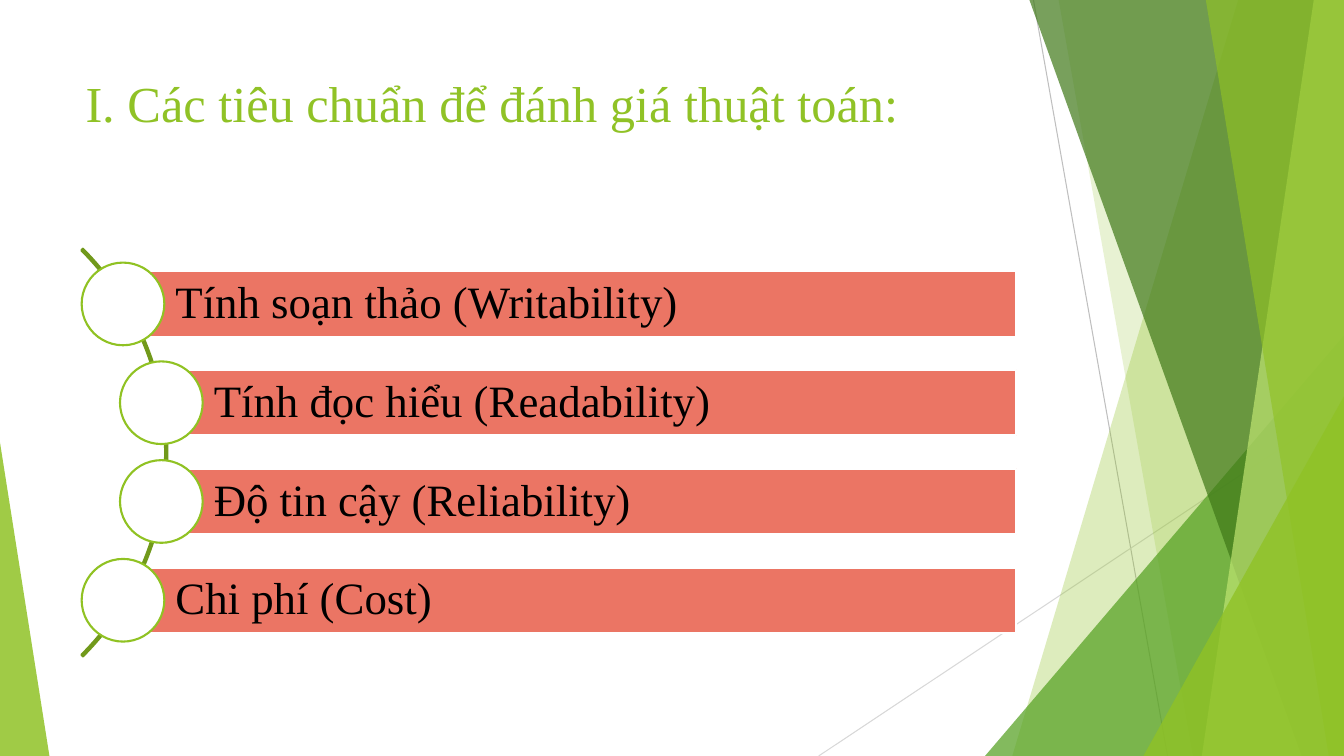
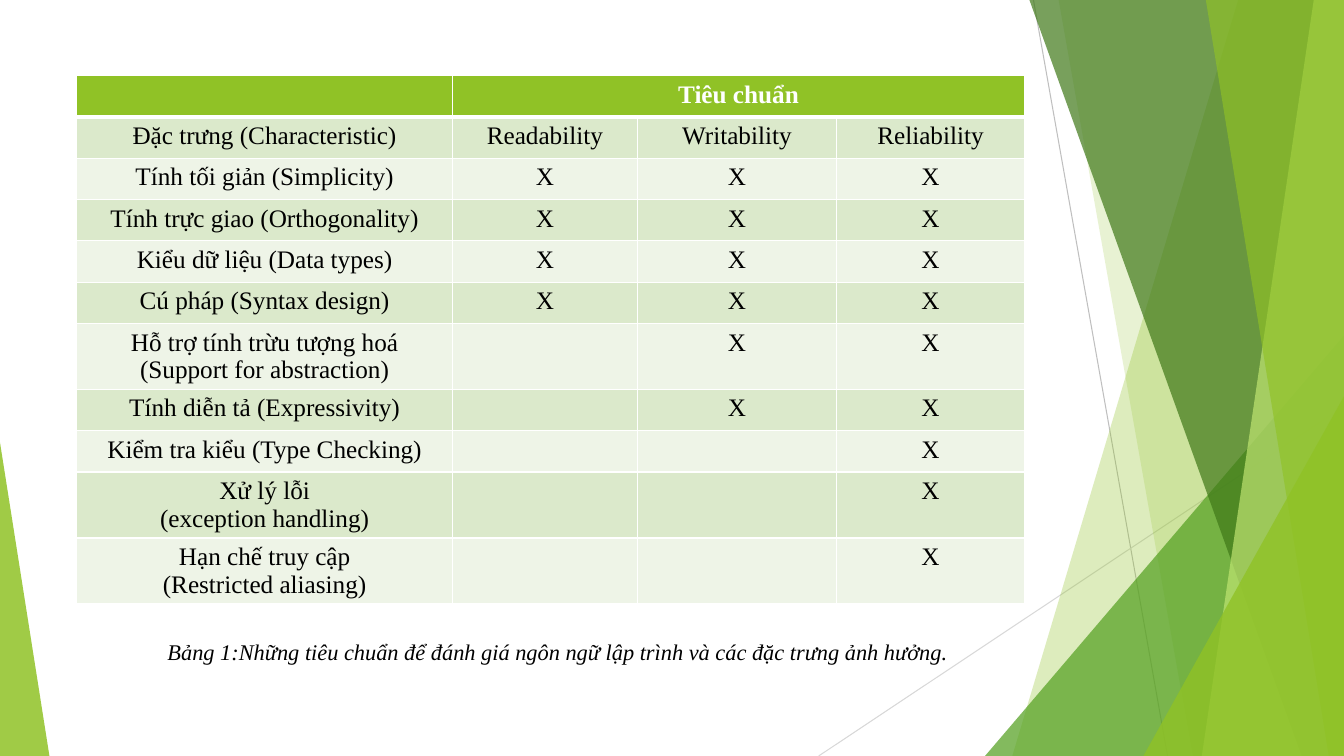
from dataclasses import dataclass

from pptx import Presentation
from pptx import util as u
from pptx.dml.color import RGBColor
from pptx.enum import shapes as kinds, text as txt
from pptx.oxml import ns, xmlchemy

TITLE = "I. Các tiêu chuẩn để đánh giá thuật toán:"
CRITERIA = [  # wording, indent steps along the arc
    ("Tính soạn thảo (Writability)", 0),
    ("Tính đọc hiểu (Readability)", 1),
    ("Độ tin cậy (Reliability)", 1),
    ("Chi phí (Cost)", 0),
]
GROUP_HEADING = "Tiêu chuẩn"
COLUMN_HEADINGS = ("Đặc trưng (Characteristic)", "Readability", "Writability", "Reliability")
CHARACTERISTICS = [  # wording, number of criteria it affects, counted from the right
    ("Tính tối giản (Simplicity)", 3),
    ("Tính trực giao (Orthogonality)", 3),
    ("Kiểu dữ liệu (Data types)", 3),
    ("Cú pháp (Syntax design)", 3),
    ("Hỗ trợ tính trừu tượng hoá (Support for abstraction)", 2),
    ("Tính diễn tả (Expressivity)", 2),
    ("Kiểm tra kiểu (Type Checking)", 1),
    ("Xử lý lỗi\n(exception handling)", 1),
    ("Hạn chế truy cập\n(Restricted aliasing)", 1),
]
CAPTION = "Bảng 1:Những tiêu chuẩn để đánh giá ngôn ngữ lập trình và các đặc trưng ảnh hưởng."


@dataclass(frozen=True)
class Theme:
    """Colours, font and type sizes shared by the slides."""
    font: str = "Times New Roman"
    white: str = "FFFFFF"
    black: str = "000000"
    lime: str = "90C226"
    ring: str = "90C223"
    green: str = "54A021"
    forest: str = "3F7818"
    pale: str = "BFE471"
    arc: str = "71991B"
    coral: str = "EB7564"
    stripes: tuple = ("DBE9CB", "EEF4E7")
    title: int = 36
    item: int = 32
    cell: int = 18
    caption: int = 16


T = Theme()
WIDTH, HEIGHT = 13.33, 7.5
LEFT, CONTENT_WIDTH = 0.75, 9.4

GUIDES = [((10.25, 0), (11.58, HEIGHT), "BFBFBF"),
          ((WIDTH, 4.03), (8.12, HEIGHT), "D8D8D8")]
# Facets run to the right and bottom edges: a band has (top x, bottom x),
# a triangle has (left, top, width, apex share).
FACETS = [
    ("band", (12.28, 10.04), T.lime, 30),
    ("band", (10.5, 11.83), T.lime, 20),
    ("triangle", (9.77, 3.33, 3.56, 1), T.green, 72),
    ("band", (10.21, 12.91), T.forest, 70),
    ("band", (13.03, 11.92), T.pale, 70),
    ("band", (11.96, 13.18), T.lime, 65),
    ("triangle", (11.34, 3.93, 1.99, 1), T.lime, 80),
    ("triangle", (0, 4.39, 0.49, 0), T.lime, 85),
]


def inches(*lengths):
    """Turn lengths in inches into a list of EMU values."""
    return [u.Inches(length) for length in lengths]


def add_xml(parent, tag, **attributes):
    """Append a DrawingML element and return it."""
    child = xmlchemy.OxmlElement(tag)
    for name, value in attributes.items():
        child.set(name, str(value))
    parent.append(child)
    return child


def paint(shape, fill=None, opacity=100, line=None, weight=1.5):
    """Give a shape its fill, opacity and outline, without a shadow."""
    shape.shadow.inherit = False
    if fill:
        shape.fill.solid()
        shape.fill.fore_color.rgb = RGBColor.from_string(fill)
        if opacity < 100:
            colour = shape._element.spPr.find(".//" + ns.qn("a:srgbClr"))
            add_xml(colour, "a:alpha", val=opacity * 1000)
    else:
        shape.fill.background()
    if line:
        shape.line.color.rgb = RGBColor.from_string(line)
        shape.line.width = u.Pt(weight)
    else:
        shape.line.fill.background()


def add_form(slide, kind, box, adjust=(), **look):
    """Add a painted preset shape."""
    form = slide.shapes.add_shape(kind, *inches(*box))
    for index, value in enumerate(adjust):
        form.adjustments[index] = value
    paint(form, **look)
    return form


def write(frame, wording, size, color=T.black, bold=False, italic=False,
          align=txt.PP_ALIGN.LEFT, spacing=None):
    """Fill a text frame, one paragraph per line of the wording."""
    frame.word_wrap = True
    frame.text = wording
    for paragraph in frame.paragraphs:
        paragraph.alignment = align
        paragraph.line_spacing = spacing
        font = paragraph.font
        for run in paragraph.runs:
            font = run.font
            font.name, font.size = T.font, u.Pt(size)
            font.bold, font.italic = bold, italic
            font.color.rgb = RGBColor.from_string(color)


def add_text(slide, box, wording, **style):
    """Add a text box."""
    write(slide.shapes.add_textbox(*inches(*box)).text_frame, wording, **style)


def add_band(slide, top_x, bottom_x):
    """Add a full-height facet with a slanted left side."""
    corners = [inches(*point) for point in
               ((top_x, 0), (WIDTH, 0), (WIDTH, HEIGHT), (bottom_x, HEIGHT))]
    outline = slide.shapes.build_freeform(*corners[0], scale=1.0)
    outline.add_line_segments(corners[1:], close=True)
    return outline.convert_to_shape()


def add_backdrop(deck):
    """Add a blank slide carrying the guides and green facets."""
    slide = deck.slides.add_slide(deck.slide_layouts[6])
    for start, end, color in GUIDES:
        guide = slide.shapes.add_connector(
            kinds.MSO_CONNECTOR.STRAIGHT, *inches(*start, *end))
        guide.line.color.rgb = RGBColor.from_string(color)
        guide.line.width = u.Pt(0.75)
        add_xml(guide._element.spPr, "a:effectLst")
    for kind, place, color, opacity in FACETS:
        if kind == "band":
            paint(add_band(slide, *place), fill=color, opacity=opacity)
        else:
            left, top, width, apex = place
            add_form(slide, kinds.MSO_SHAPE.ISOSCELES_TRIANGLE,
                     (left, top, width, HEIGHT - top), (apex,),
                     fill=color, opacity=opacity)
    return slide


def build_criteria(deck):
    """Build the slide listing the criteria along an arc."""
    slide = add_backdrop(deck)
    add_text(slide, (LEFT, 0.67, CONTENT_WIDTH, 1.44), TITLE, size=T.title, color=T.lime)
    add_form(slide, kinds.MSO_SHAPE.BLOCK_ARC, (-4.06, 1.63, 5.72, 5.72),
             (189, 27, 0.004), line=T.arc)
    first_top, pitch, bar_height, disc = 2.69, 0.98, 0.65, 0.82
    disc_left, indent, bar_right = 0.81, 0.38, 10.08
    for row, (wording, steps) in enumerate(CRITERIA):
        top = first_top + row * pitch
        left = disc_left + steps * indent
        bar_left = left + disc / 2
        bar = add_form(slide, kinds.MSO_SHAPE.RECTANGLE,
                       (bar_left, top, bar_right - bar_left, bar_height),
                       fill=T.coral, line=T.white)
        frame = bar.text_frame
        frame.vertical_anchor = txt.MSO_ANCHOR.MIDDLE
        frame.margin_left, frame.margin_right, frame.margin_top, frame.margin_bottom = inches(
            0.52, 0.09, 0.09, 0.09)
        write(frame, wording, size=T.item, spacing=0.9)
        add_form(slide, kinds.MSO_SHAPE.OVAL,
                 (left, top - (disc - bar_height) / 2, disc, disc),
                 fill=T.white, line=T.ring)


def style_cell(cell, fill, header):
    """Give a cell white borders and a fill."""
    properties = cell._tc.get_or_add_tcPr()
    for side in "LRTB":
        weight = 3 if header and side == "B" else 1
        border = add_xml(properties, "a:ln" + side, w=u.Pt(weight))
        add_xml(add_xml(border, "a:solidFill"), "a:srgbClr", val=T.white)
    cell.fill.solid()
    cell.fill.fore_color.rgb = RGBColor.from_string(fill)


def build_table(deck):
    """Build the slide that crosses characteristics with criteria."""
    slide = add_backdrop(deck)
    columns, row_height = (3.73, 1.83, 1.98, 1.86), 0.41
    criteria = len(columns) - 1
    rows = [("", GROUP_HEADING, "", ""), COLUMN_HEADINGS]
    rows += [(wording, *[""] * (criteria - marks), *["X"] * marks)
             for wording, marks in CHARACTERISTICS]
    table = slide.shapes.add_table(
        len(rows), len(columns),
        *inches(0.76, LEFT, sum(columns), row_height * len(rows))).table
    for column, width in zip(table.columns, columns):
        column.width = u.Inches(width)
    for r, row in enumerate(rows):
        table.rows[r].height = u.Inches(row_height)
        header = r == 0
        for c, wording in enumerate(row):
            cell = table.cell(r, c)
            style_cell(cell, T.lime if header else T.stripes[(r - 1) % 2], header)
            if wording:
                write(cell.text_frame, wording, size=T.cell, bold=header,
                      color=T.white if header else T.black, align=txt.PP_ALIGN.CENTER)
    table.cell(0, 1).merge(table.cell(0, criteria))
    add_text(slide, (0.9, 6.24, 9.26, 1.06), CAPTION, size=T.caption, italic=True,
             align=txt.PP_ALIGN.CENTER, spacing=1.15)


deck = Presentation()
deck.slide_width, deck.slide_height = inches(WIDTH, HEIGHT)
build_criteria(deck)
build_table(deck)
deck.save("out.pptx")
